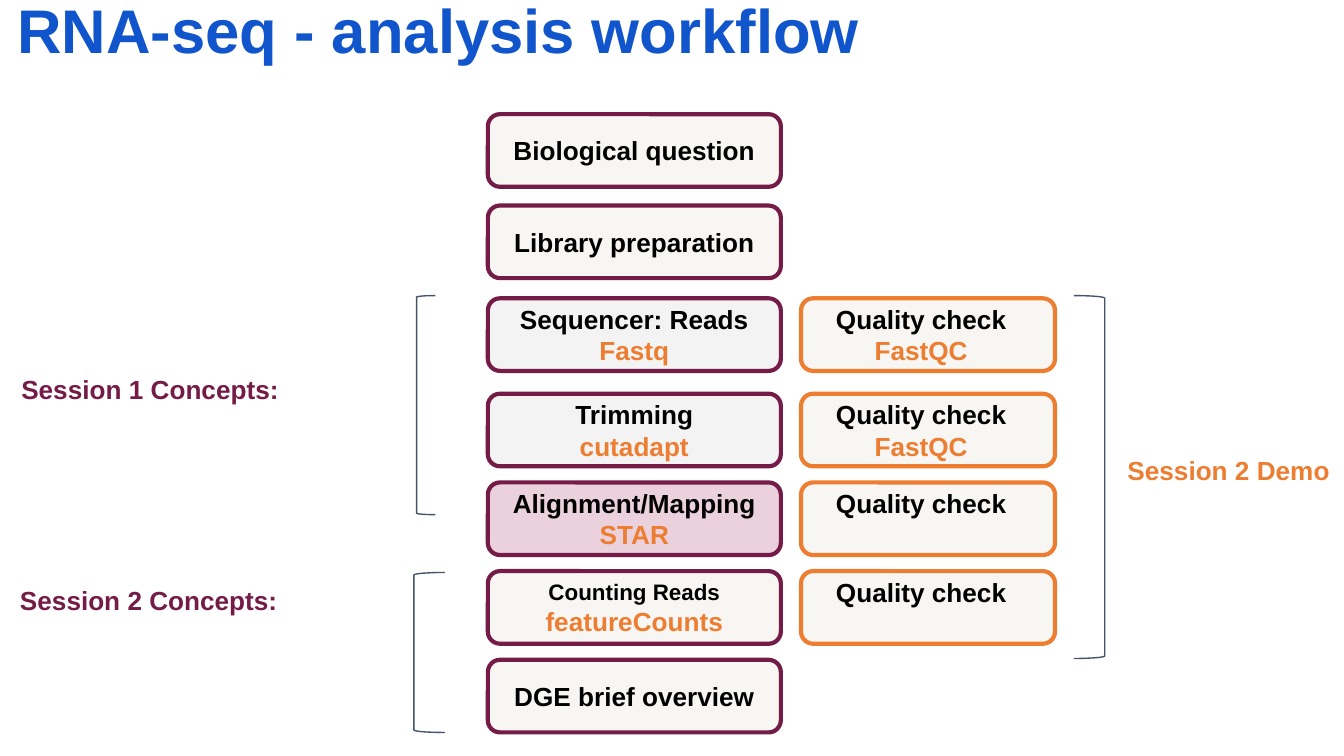
"""Build the RNA-seq analysis workflow slide."""
from pptx import Presentation
from pptx.dml.color import RGBColor
from pptx.enum.shapes import MSO_SHAPE
from pptx.enum.text import MSO_ANCHOR, PP_ALIGN
from pptx.util import Inches, Pt

ROUNDED = MSO_SHAPE.ROUNDED_RECTANGLE
LEFT_BRACKET, RIGHT_BRACKET = MSO_SHAPE.LEFT_BRACKET, MSO_SHAPE.RIGHT_BRACKET
TOP, MIDDLE = MSO_ANCHOR.TOP, MSO_ANCHOR.MIDDLE
LEFT, CENTER = PP_ALIGN.LEFT, PP_ALIGN.CENTER

COLORS = {
    "title": "1155CC", "plum": "741B47", "orange": "ED7D31", "black": "000000",
    "cream": "F7F6F3", "gray": "F3F3F3", "pink": "EAD1DC", "bracket": "44546A",
}
FONT = "Arial"
INSET = 0.1

TITLE = "RNA-seq - analysis workflow"
STEPS = [
    ("Biological question", "", "cream", 14),
    ("Library preparation", "", "cream", 14),
    ("Sequencer: Reads", "Fastq", "gray", 14),
    ("Trimming", "cutadapt", "gray", 14),
    ("Alignment/Mapping", "STAR", "pink", 14),
    ("Counting Reads", "featureCounts", "cream", 12),
    ("DGE brief overview", "", "cream", 14),
]
CHECK = "Quality check"
CHECK_TOOLS = {2: "FastQC", 3: "FastQC", 4: "", 5: ""}
LABELS = [
    ("Session 1 Concepts:", "plum", 0.06, 2.68, 3.42, 0.44),
    ("Session 2 Concepts:", "plum", 0.05, 4.25, 3.42, 0.67),
    ("Session 2 Demo", "orange", 8.29, 3.28, 1.71, 0.67),
]
BRACKETS = [
    (LEFT_BRACKET, 3.1, 2.2, 0.14, 1.63),
    (LEFT_BRACKET, 3.08, 4.26, 0.23, 1.19),
    (RIGHT_BRACKET, 7.99, 2.2, 0.23, 2.7),
]

ROW_TOPS = [0.85, 1.53, 2.22] + [2.93 + 0.66 * row for row in range(4)]
ROW_HEIGHT = 0.54
STEP_LEFT, STEP_WIDTH = 3.63, 2.18
CHECK_LEFT, CHECK_WIDTH = 5.96, 1.89


def color(name):
    return RGBColor.from_string(COLORS[name])


def write(shape, lines, align, anchor, insets):
    frame = shape.text_frame
    frame.word_wrap = True
    frame.vertical_anchor = anchor
    (frame.margin_left, frame.margin_top,
     frame.margin_right, frame.margin_bottom) = map(Inches, insets)
    frame.text = "\n".join(text for text, _, _ in lines)
    for paragraph, (_, size, tint) in zip(frame.paragraphs, lines):
        paragraph.alignment = align
        for span in paragraph.runs:
            span.font.name = FONT
            span.font.size = Pt(size)
            span.font.bold = True
            span.font.color.rgb = color(tint)


def add_outline(page, kind, place, line, width):
    shape = page.shapes.add_shape(kind, *map(Inches, place))
    shape.shadow.inherit = False
    shape.line.color.rgb = color(line)
    shape.line.width = Pt(width)
    return shape


def add_box(page, place, fill, line, lines, anchor, insets):
    box = add_outline(page, ROUNDED, place, line, 2.25)
    box.fill.solid()
    box.fill.fore_color.rgb = color(fill)
    write(box, lines, CENTER, anchor, insets)


def main():
    deck = Presentation()
    deck.slide_width = Inches(10)
    deck.slide_height = deck.slide_width * 9 // 16
    page = deck.slides.add_slide(deck.slide_layouts[5])

    title = page.shapes.title
    title.left, title.top, title.width, title.height = map(Inches, (0.13, 0, 8.62, 0.81))
    write(title, [(TITLE, 33, "title")], LEFT, TOP, [0] * 4)
    title.text_frame.paragraphs[0].line_spacing = 0.9

    for row, (step, tool, fill, size) in enumerate(STEPS):
        lines = [(step, size, "black")] + ([(tool, 14, "orange")] if tool else [])
        place = (STEP_LEFT, ROW_TOPS[row], STEP_WIDTH, ROW_HEIGHT)
        add_box(page, place, fill, "plum", lines, MIDDLE, [INSET] * 4)

    for row, tool in CHECK_TOOLS.items():
        lines = [(CHECK, 14, "black")] + ([(tool, 14, "orange")] if tool else [])
        place = (CHECK_LEFT, ROW_TOPS[row], CHECK_WIDTH, ROW_HEIGHT)
        add_box(page, place, "cream", "orange", lines, TOP, [INSET, 0.01, 2 * INSET, 0.01])

    for text, tint, *place in LABELS:
        label = page.shapes.add_textbox(*map(Inches, place))
        write(label, [(text, 14, tint)], LEFT, TOP, [INSET] * 4)

    for kind, *place in BRACKETS:
        bracket = add_outline(page, kind, place, "bracket", 0.75)
        bracket.fill.background()
        bracket.adjustments[0] = 0.08

    deck.save("out.pptx")


if __name__ == "__main__":
    main()
